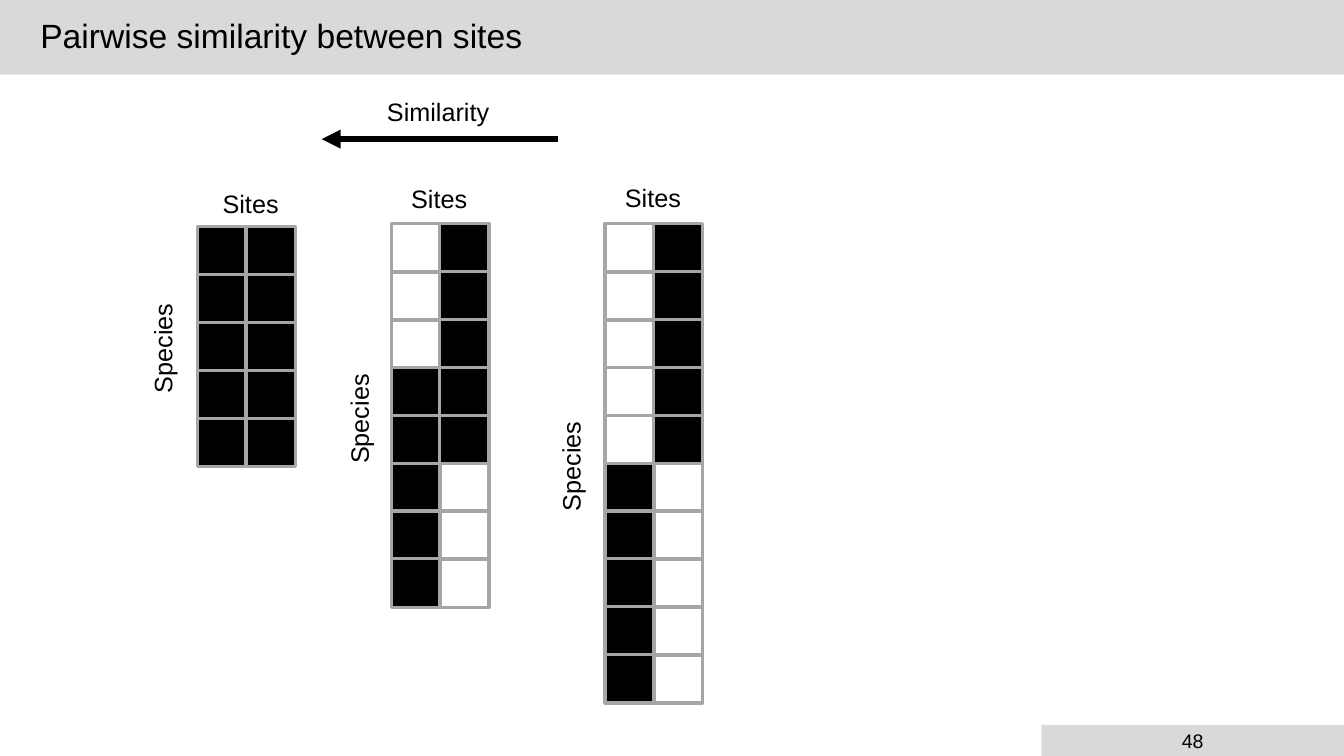
from lxml import etree
from pptx import Presentation
from pptx.dml.color import RGBColor
from pptx.enum import shapes, text
from pptx.oxml import ns
from pptx.util import Inches, Pt

COLOURS = {"ink": "000000", "bar": "D9D9D9", "grid": "A6A6A6"}
RGB = {name: RGBColor.from_string(code) for name, code in COLOURS.items()}

deck = Presentation()
deck.slide_width, deck.slide_height = Inches(13.33), Inches(7.5)
page = deck.slides.add_slide(deck.slide_layouts[6])


def add_rectangle(parent, left, top, width, height, fill=None):
    box = parent.add_shape(shapes.MSO_SHAPE.RECTANGLE, Inches(left), Inches(top),
                           Inches(width), Inches(height))
    box.shadow.inherit = False
    if fill:
        box.fill.solid()
        box.fill.fore_color.rgb = RGB[fill]
    else:
        box.fill.background()
    return box


def write(box, words, size, frame_format, align=text.PP_ALIGN.LEFT):
    frame = box.text_frame
    for name, value in frame_format.items():
        setattr(frame, name, value)
    para = frame.paragraphs[0]
    para.alignment = align
    span = para.add_run()
    span.text = words
    for name, value in {"name": "Arial", "size": Pt(size)}.items():
        setattr(span.font, name, value)
    span.font.color.rgb = RGB["ink"]
    return para


BAR_TEXT = {"vertical_anchor": text.MSO_ANCHOR.MIDDLE, "word_wrap": True}
LABEL_TEXT = {"word_wrap": False, "auto_size": text.MSO_AUTO_SIZE.SHAPE_TO_FIT_TEXT}

# Title bar and page number
title = add_rectangle(page.shapes, 0, 0, 13.33, 0.74, "bar")
title.line.fill.background()
para = write(title, "Pairwise similarity between sites", 24,
             BAR_TEXT | {"margin_left": Inches(0.4)})
para.line_spacing = 0.9
number = add_rectangle(page.shapes, 10.33, 7.19, 3, 0.31, "bar")
number.line.fill.background()
write(number, "48", 14, BAR_TEXT, text.PP_ALIGN.CENTER)

# Site by species grids: 1 is present, 0 is absent, one pair per species
CELL_WIDTH, CELL_HEIGHT = 0.49, 0.48
COLUMN_STEP, ROW_STEP = 0.48, 0.475
grids = [
    {"left": 1.96, "top": 2.25, "rows": ["11"] * 5,
     "sites": (2.11, 1.82), "species": (1.06, 3.25)},
    {"left": 3.88, "top": 2.22, "rows": ["01"] * 3 + ["11"] * 2 + ["10"] * 3,
     "sites": (3.98, 1.77), "species": (3.01, 3.95)},
    {"left": 6.0, "top": 2.22, "rows": ["01"] * 5 + ["10"] * 5,
     "sites": (6.1, 1.76), "species": (5.11, 4.42)},
]
for grid in grids:
    group = page.shapes.add_group_shape().shapes
    for row, pair in enumerate(grid["rows"]):
        for column, present in enumerate(pair):
            cell = add_rectangle(group, grid["left"] + column * COLUMN_STEP,
                                 grid["top"] + row * ROW_STEP, CELL_WIDTH, CELL_HEIGHT,
                                 "ink" if present == "1" else None)
            cell.line.color.rgb = RGB["grid"]
            cell.line.width = Pt(2.25)
    for words, width, turn in (("Sites", 0.76, 0), ("Species", 1.1, 270)):
        left, top = grid[words.lower()]
        label = group.add_textbox(Inches(left), Inches(top), Inches(width), Inches(0.4))
        label.rotation = turn
        write(label, words, 18, LABEL_TEXT)

# Similarity arrow
group = page.shapes.add_group_shape().shapes
arrow = group.add_connector(shapes.MSO_CONNECTOR.STRAIGHT, Inches(5.53), Inches(1.38),
                            Inches(3.19), Inches(1.38))
arrow.line.color.rgb = RGB["ink"]
arrow.line.width = Pt(4.5)
etree.SubElement(arrow.line._get_or_add_ln(), ns.qn("a:tailEnd"), type="triangle")
etree.SubElement(arrow._element.spPr, ns.qn("a:effectLst"))
label = group.add_textbox(Inches(3.74), Inches(0.91), Inches(1.23), Inches(0.4))
write(label, "Similarity", 18, LABEL_TEXT)

deck.save("out.pptx")
